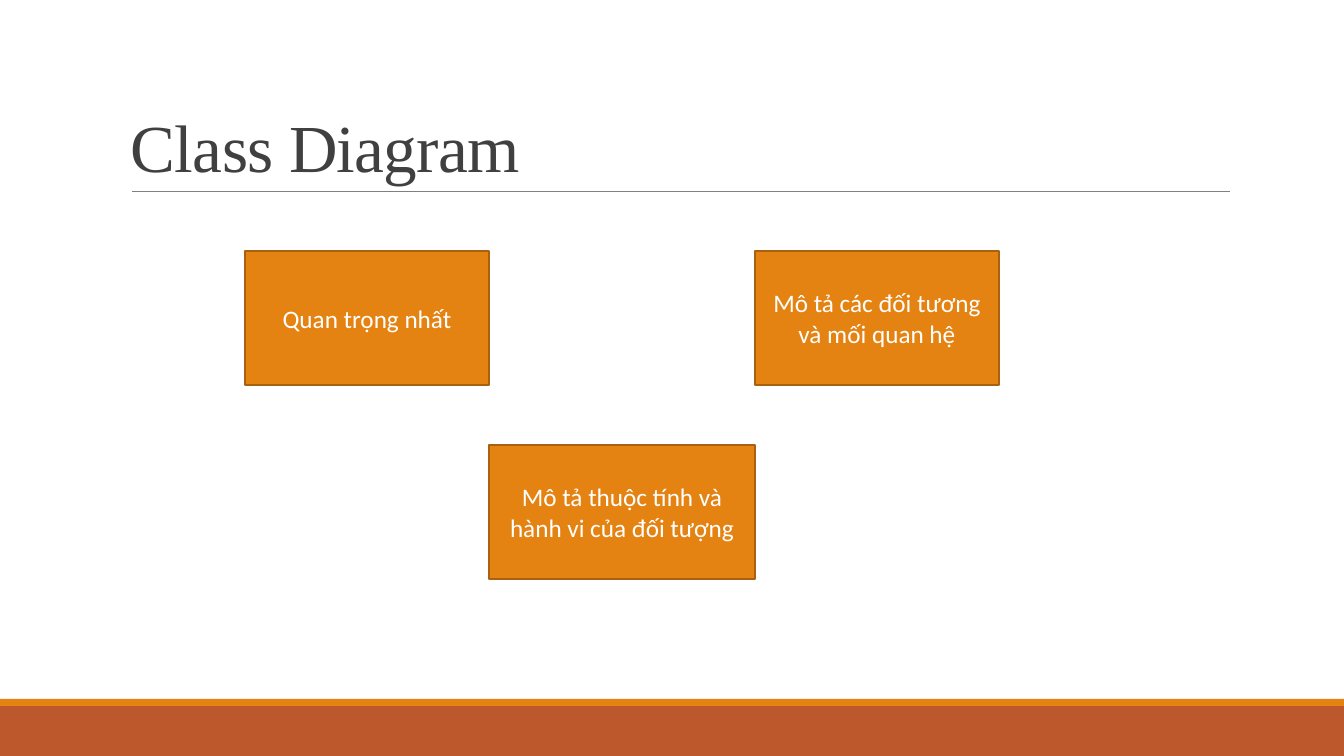
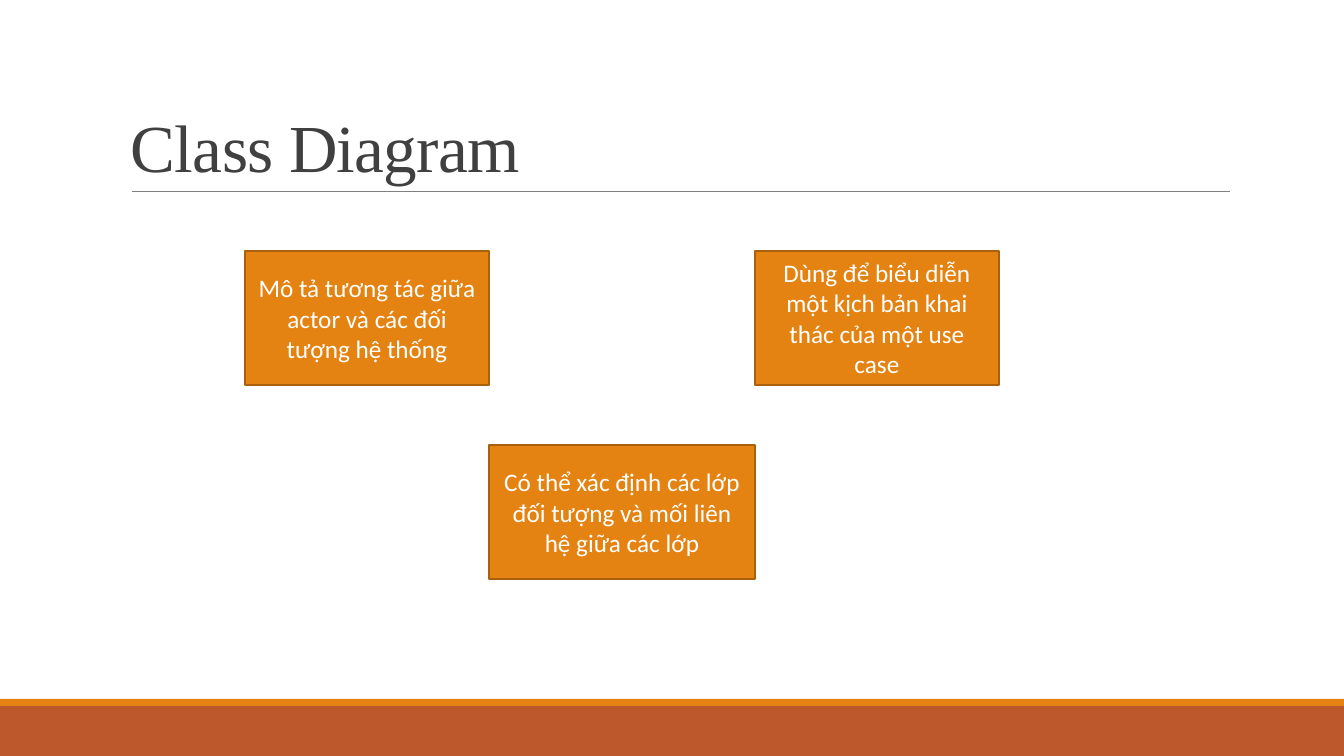
from pptx import Presentation
from pptx.dml.color import RGBColor
from pptx.enum.shapes import MSO_CONNECTOR as CONNECTOR, MSO_SHAPE as SHAPE
from pptx.enum.text import MSO_ANCHOR as ANCHOR, PP_ALIGN as ALIGN
from pptx.oxml.ns import qn
from pptx.util import Pt

SLIDES = [
    ("Class Diagram", [
        "Quan trọng nhất",
        "Mô tả các đối tương và mối quan hệ",
        "Mô tả thuộc tính và hành vi của đối tượng",
    ]),
    ("Class Diagram", [
        "Mô tả tương tác giữa actor và các đối tượng hệ thống",
        "Dùng để biểu diễn một kịch bản khai thác của một use case",
        "Có thể xác định các lớp đối tượng và mối liên hệ giữa các lớp",
    ]),
]

WIDTH, HEIGHT = 1344, 756
EMU_PER_PX = 914400 / 100.8
ORANGE, RUST, BROWN = "E48312", "BD582C", "A9610D"
WHITE, CHARCOAL, GREY = "FFFFFF", "404040", "808080"

BANDS = [(706, 50, RUST), (699, 7, ORANGE)]
TITLE_AREA = (121, 31, 1109, 160)
RULE_LEFT, RULE_RIGHT, RULE_Y = 132, 1230, 191
CARD_LEFT, CARD_WIDTH, MIDDLE_WIDTH = 245, 244, 266
CARD_HEIGHT, UPPER_Y, LOWER_Y = 134, 251, 445
MIDDLE_LEFT = CARD_LEFT + CARD_WIDTH
CARDS = [
    (CARD_LEFT, UPPER_Y, CARD_WIDTH, CARD_HEIGHT),
    (MIDDLE_LEFT + MIDDLE_WIDTH, UPPER_Y, CARD_WIDTH, CARD_HEIGHT),
    (MIDDLE_LEFT, LOWER_Y, MIDDLE_WIDTH, CARD_HEIGHT),
]


def px(*lengths):
    return [round(length * EMU_PER_PX) for length in lengths]


def color(hex_code):
    return RGBColor.from_string(hex_code)


def style_text(paragraph, text, font_name, size, hex_code):
    paragraph.text = text
    font = paragraph.font
    font.name, font.size = font_name, Pt(size)
    font.color.rgb = color(hex_code)


def add_box(slide, area, fill, outline=None):
    box = slide.shapes.add_shape(SHAPE.RECTANGLE, *px(*area))
    box.shadow.inherit = False
    box.fill.solid()
    box.fill.fore_color.rgb = color(fill)
    if outline:
        box.line.color.rgb = color(outline)
        box.line.width = Pt(1.25)
    else:
        box.line.fill.background()
    return box


def add_frame(slide, title):
    for top, height, fill in BANDS:
        add_box(slide, (0, top, WIDTH, height), fill)
    rule = slide.shapes.add_connector(
        CONNECTOR.STRAIGHT, *px(RULE_LEFT, RULE_Y, RULE_RIGHT, RULE_Y))
    rule.line.color.rgb = color(GREY)
    rule.line.width = Pt(0.5)
    properties = rule.element.spPr
    properties.append(properties.makeelement(qn("a:effectLst"), {}))

    heading = slide.shapes.add_textbox(*px(*TITLE_AREA)).text_frame
    heading.word_wrap = True
    heading.vertical_anchor = ANCHOR.BOTTOM
    paragraph = heading.paragraphs[0]
    style_text(paragraph, title, "Times New Roman", 48, CHARCOAL)
    paragraph.line_spacing = 0.85
    paragraph.runs[0].font._element.set("spc", "-50")


def add_card(slide, area, text):
    frame = add_box(slide, area, ORANGE, BROWN).text_frame
    frame.word_wrap = True
    frame.vertical_anchor = ANCHOR.MIDDLE
    paragraph = frame.paragraphs[0]
    style_text(paragraph, text, "Calibri", 18, WHITE)
    paragraph.alignment = ALIGN.CENTER


def main():
    deck = Presentation()
    deck.slide_width, deck.slide_height = px(WIDTH, HEIGHT)
    for title, statements in SLIDES:
        slide = deck.slides.add_slide(deck.slide_layouts[6])
        add_frame(slide, title)
        for area, statement in zip(CARDS, statements):
            add_card(slide, area, statement)
    deck.save("out.pptx")


if __name__ == "__main__":
    main()
